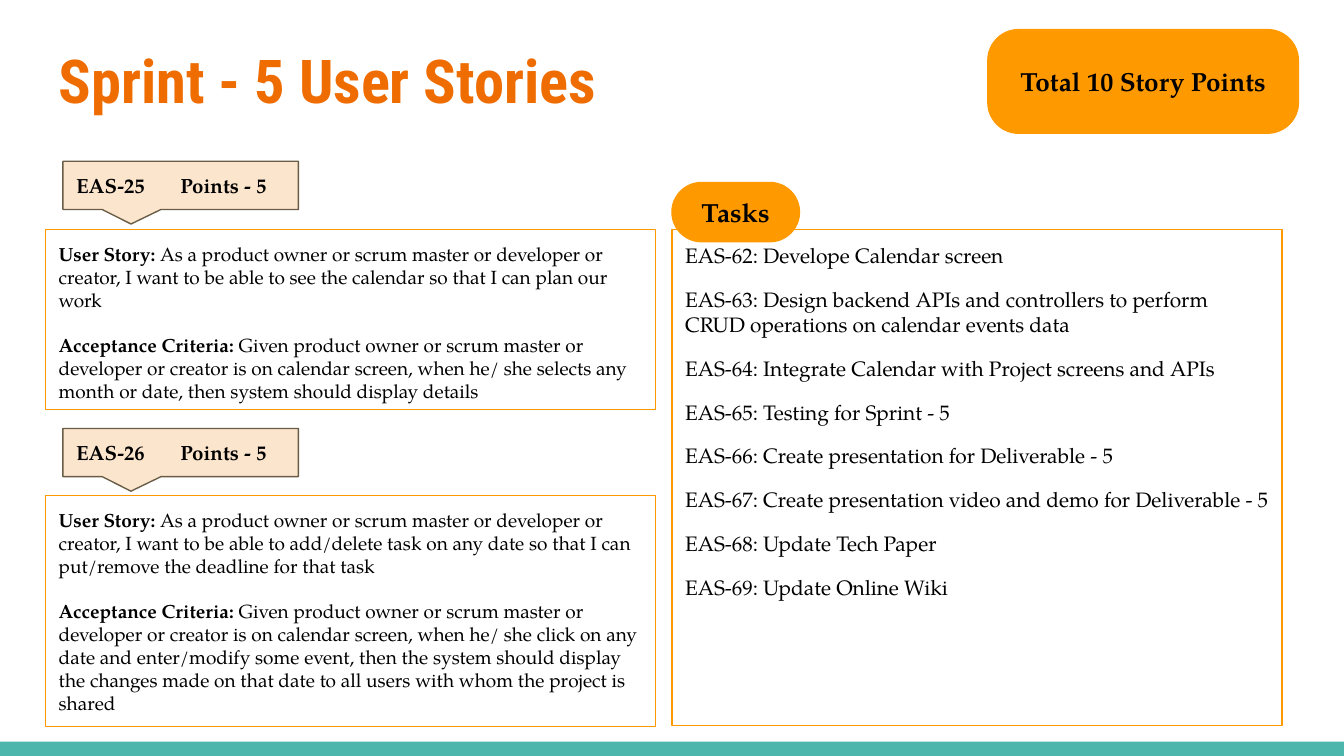
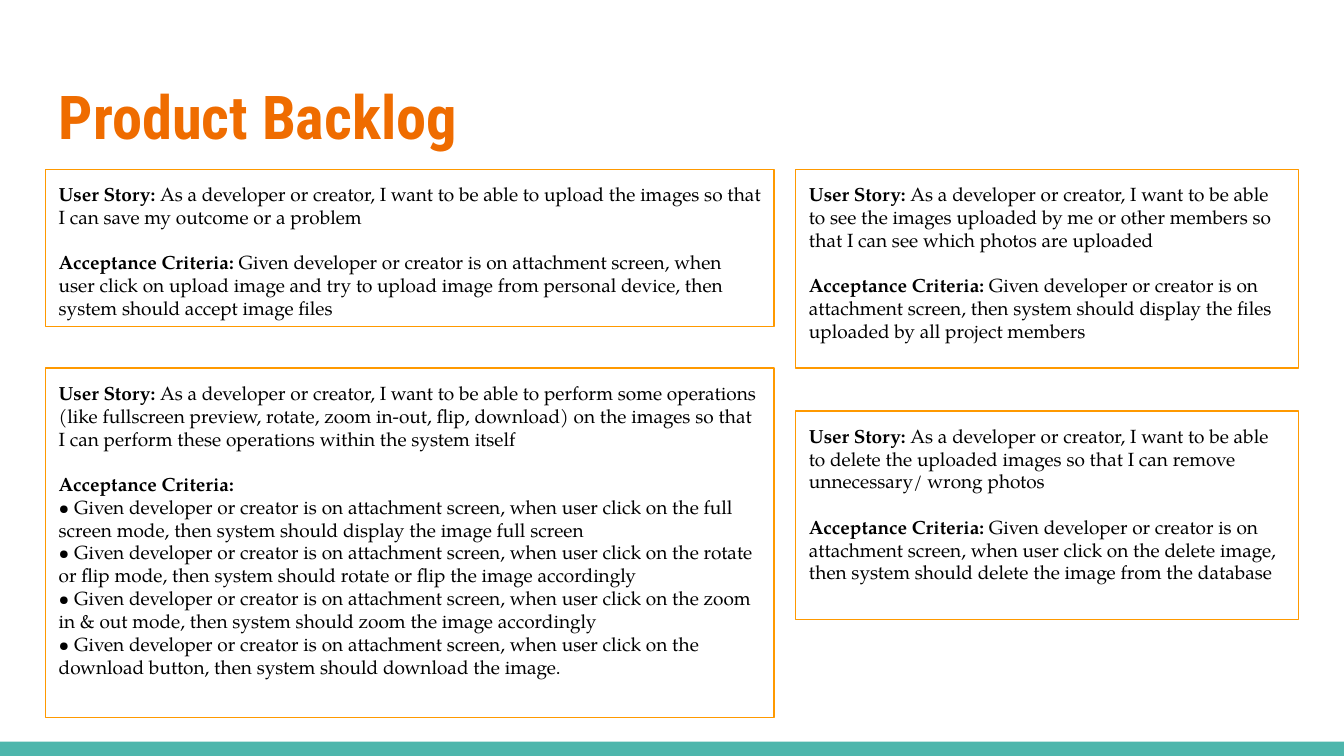
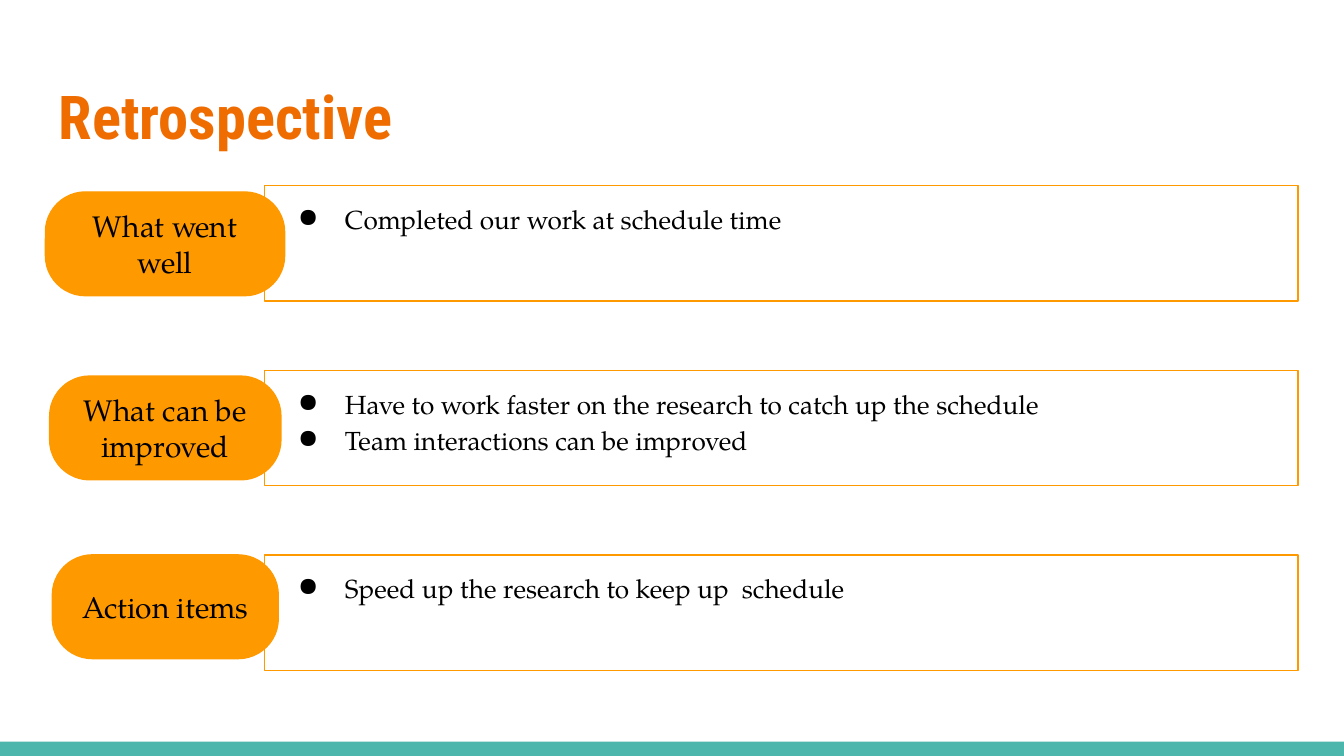
"""Build three sprint review slides: user stories, product backlog and retrospective."""
from lxml import etree
from pptx import Presentation
from pptx import util as u
from pptx.dml.color import RGBColor
from pptx.enum import shapes, text
from pptx.oxml import ns

ORANGE, TITLE, TEAL = "FF9900", "EF6C00", "4DB6AC"
PEACH, BROWN, BLACK = "FCE5CD", "695D46", "000000"
HEADING_FONT, BODY_FONT = "Roboto Condensed", "TeX Gyre Pagella"
RECT = shapes.MSO_SHAPE.RECTANGLE
PILL = shapes.MSO_SHAPE.ROUNDED_RECTANGLE
CALLOUT = shapes.MSO_SHAPE.ROUNDED_RECTANGULAR_CALLOUT
TOP, MIDDLE = text.MSO_ANCHOR.TOP, text.MSO_ANCHOR.MIDDLE
LEFT, CENTER = text.PP_ALIGN.LEFT, text.PP_ALIGN.CENTER


def add_panel(slide, kind, place, fill=None, line=ORANGE, adjust=()):
    """Add a flat preset shape at (left, top, width, height) in centimetres."""
    panel = slide.shapes.add_shape(kind, *map(u.Cm, place))
    panel.shadow.inherit = False
    for index, value in enumerate(adjust):
        panel.adjustments[index] = value
    if fill:
        panel.fill.solid()
        panel.fill.fore_color.rgb = RGBColor.from_string(fill)
    else:
        panel.fill.background()
    if line:
        panel.line.color.rgb = RGBColor.from_string(line)
        panel.line.width = u.Pt(0.75)
    else:
        panel.line.fill.background()
    return panel


def write(holder, paragraphs, size, anchor=TOP, align=LEFT, font=BODY_FONT, color=BLACK):
    """Write paragraphs, each a list of (wording, bold) runs, and return them."""
    frame = holder.text_frame
    frame.word_wrap = True
    frame.vertical_anchor = anchor
    frame.margin_left = frame.margin_right = u.Cm(0.25)
    frame.margin_top = frame.margin_bottom = u.Cm(0.25)
    for index, runs in enumerate(paragraphs):
        paragraph = frame.add_paragraph() if index else frame.paragraphs[0]
        paragraph.alignment = align
        for wording, bold in runs:
            run = paragraph.add_run()
            run.text = wording
            run.font.size = u.Pt(size)
            run.font.name = font
            run.font.bold = bold
            run.font.color.rgb = RGBColor.from_string(color)
    return frame.paragraphs


deck = Presentation()
deck.slide_width, deck.slide_height = u.Cm(25.4), u.Cm(14.29)

pages = []
for heading, top in (("Sprint - 5 User Stories", 0.56), ("Product Backlog", 1.24),
                     ("Retrospective", 1.24)):
    page = deck.slides.add_slide(deck.slide_layouts[6])
    add_panel(page, RECT, (0, 14.02, 25.4, 0.27), TEAL, None)
    title = page.shapes.add_textbox(*map(u.Cm, (0.86, top, 23.67, 1.96)))
    write(title, [[(heading, True)]], 32.4, font=HEADING_FONT, color=TITLE)
    pages.append(page)
sprint, backlog, retrospective = pages

stories = (
    (sprint, (0.86, 4.34, 11.53, 3.4),
     "As a product owner or scrum master or developer or creator, I want to be able to see "
     "the calendar so that I can plan our work",
     "Given product owner or scrum master or developer or creator is on calendar screen, "
     "when he/ she selects any month or date, then system should display details"),
    (sprint, (0.86, 9.37, 11.53, 4.37),
     "As a product owner or scrum master or developer or creator, I want to be able to "
     "add/delete task on any date so that I can put/remove the deadline for that task",
     "Given product owner or scrum master or developer or creator is on calendar screen, "
     "when he/ she click on any date and enter/modify some event, then the system should "
     "display the changes made on that date to all users with whom the project is shared"),
    (backlog, (0.86, 3.2, 13.77, 2.97),
     "As a developer or creator, I want to be able to upload the images so that I can save "
     "my outcome or a problem",
     "Given developer or creator is on attachment screen, when user click on upload image "
     "and try to upload image from personal device, then system should accept image files"),
    (backlog, (15.04, 3.2, 9.5, 3.76),
     "As a developer or creator, I want to be able to see the images uploaded by me or "
     "other members so that I can see which photos are uploaded",
     "Given developer or creator is on attachment screen, then system should display the "
     "files uploaded by all project members"),
    (backlog, (0.86, 6.96, 13.77, 6.6),
     "As a developer or creator, I want to be able to perform some operations (like "
     "fullscreen preview, rotate, zoom in-out, flip, download) on the images so that I can "
     "perform these operations within the system itself",
     ("full screen mode, then system should display the image full screen",
      "rotate or flip mode, then system should rotate or flip the image accordingly",
      "zoom in & out mode, then system should zoom the image accordingly",
      "download button, then system should download the image.")),
    (backlog, (15.04, 7.77, 9.5, 3.94),
     "As a developer or creator, I want to be able to delete the uploaded images so that I "
     "can remove unnecessary/ wrong photos",
     "Given developer or creator is on attachment screen, when user click on the delete "
     "image, then system should delete the image from the database"),
)
for page, place, story, criteria in stories:
    paragraphs = [[("User Story: ", True), (story, False)]]
    if isinstance(criteria, str):
        paragraphs.append([("Acceptance Criteria: ", True), (criteria, False)])
    else:
        paragraphs.append([("Acceptance Criteria:", True)])
        for outcome in criteria:
            paragraphs.append([("• Given developer or creator is on attachment screen, "
                                f"when user click on the {outcome}", False)])
    written = write(add_panel(page, RECT, place), paragraphs, 10.2)
    written[1].space_before = u.Pt(12)

for ticket, top in (("EAS-25", 3.05), ("EAS-26", 8.1)):
    tag = add_panel(sprint, CALLOUT, (1.19, top, 4.45, 0.91), PEACH, BROWN, (-0.211, 0.803, 0))
    label = write(tag, [[(f"{ticket}\tPoints - 5", True)]], 11, MIDDLE)[0]
    tabs = etree.SubElement(label._p.get_or_add_pPr(), ns.qn("a:tabLst"))
    etree.SubElement(tabs, ns.qn("a:tab"), pos=str(u.Cm(1.97)), algn="l")

total = add_panel(sprint, PILL, (18.67, 0.56, 5.87, 1.96), ORANGE, adjust=[0.298])
write(total, [[("Total 10 Story Points", True)]], 14, MIDDLE, CENTER)

tasks = (
    "Develope Calendar screen",
    "Design backend APIs and controllers to perform CRUD operations on calendar events data",
    "Integrate Calendar with Project screens and APIs",
    "Testing for Sprint - 5",
    "Create presentation for Deliverable - 5",
    "Create presentation video and demo for Deliverable - 5",
    "Update Tech Paper",
    "Update Online Wiki",
)
task_list = add_panel(sprint, RECT, (12.7, 4.34, 11.53, 9.37))
task_lines = [[(f"EAS-{number}: {task}", False)] for number, task in enumerate(tasks, 62)]
for line in write(task_list, task_lines, 11.2)[1:]:
    line.space_before = u.Pt(10)
task_heading = add_panel(sprint, PILL, (12.7, 3.45, 2.41, 1.12), ORANGE, adjust=[0.5])
write(task_heading, [[("Tasks", True)]], 14, MIDDLE, CENTER)

reviews = (
    ("What went well", (0.86, 3.63, 4.52, 1.96), ["Completed our work at schedule time"]),
    ("What can be improved", (0.94, 7.11, 4.37, 1.96),
     ["Have to work faster on the research to catch up the schedule",
      "Team interactions can be improved"]),
    ("Action items", (0.99, 10.49, 4.27, 1.96), ["Speed up the research to keep up  schedule"]),
)
for row, (question, place, answers) in enumerate(reviews):
    answer_box = add_panel(retrospective, RECT, (5, 3.51 + 3.49 * row, 19.53, 2.18))
    for point in write(answer_box, [[(answer, False)] for answer in answers], 14):
        point.line_spacing = 1.15
        properties = point._p.get_or_add_pPr()
        properties.set("marL", str(u.Cm(1.27)))
        properties.set("indent", str(u.Cm(-0.89)))
        bullet_color = etree.SubElement(properties, ns.qn("a:buClr"))
        etree.SubElement(bullet_color, ns.qn("a:srgbClr"), val=BLACK)
        etree.SubElement(properties, ns.qn("a:buChar"), char="●")
    question_pill = add_panel(retrospective, PILL, place, ORANGE, adjust=[0.386])
    write(question_pill, [[(question, False)]], 16, MIDDLE, CENTER)

deck.save("out.pptx")
